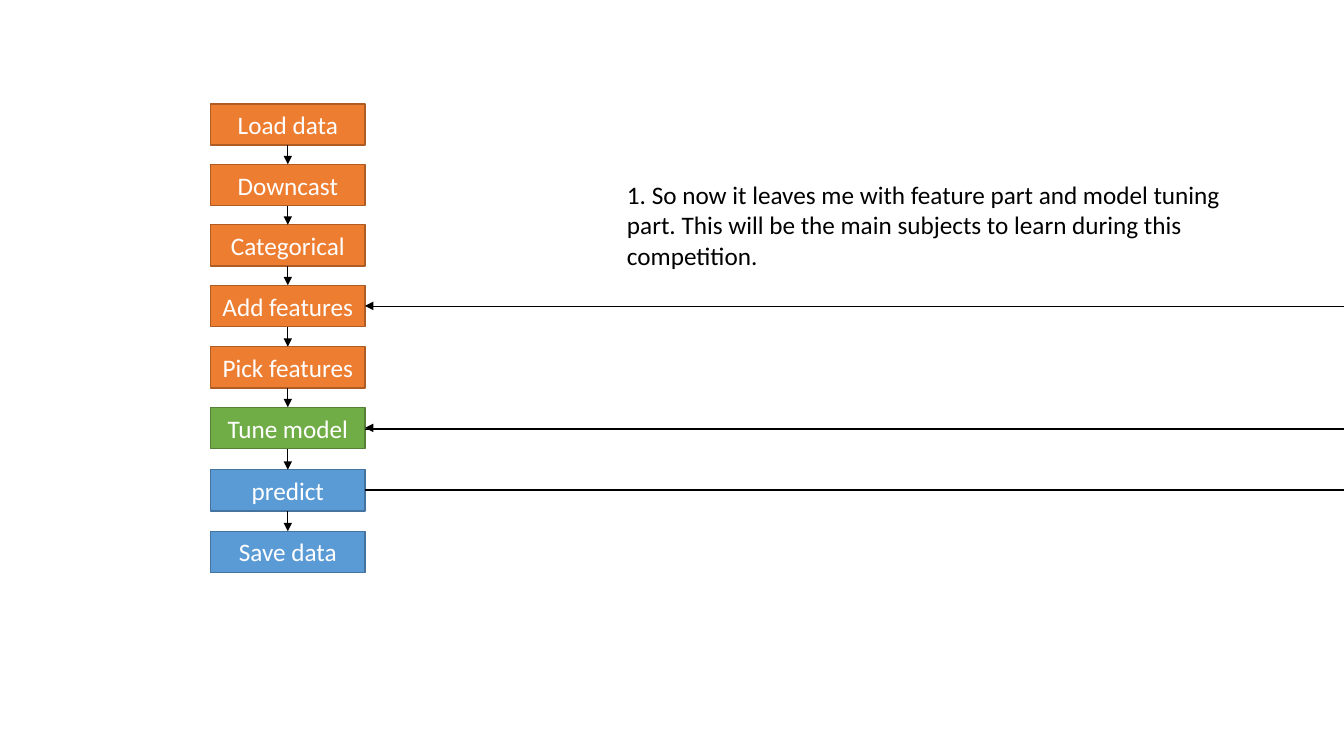
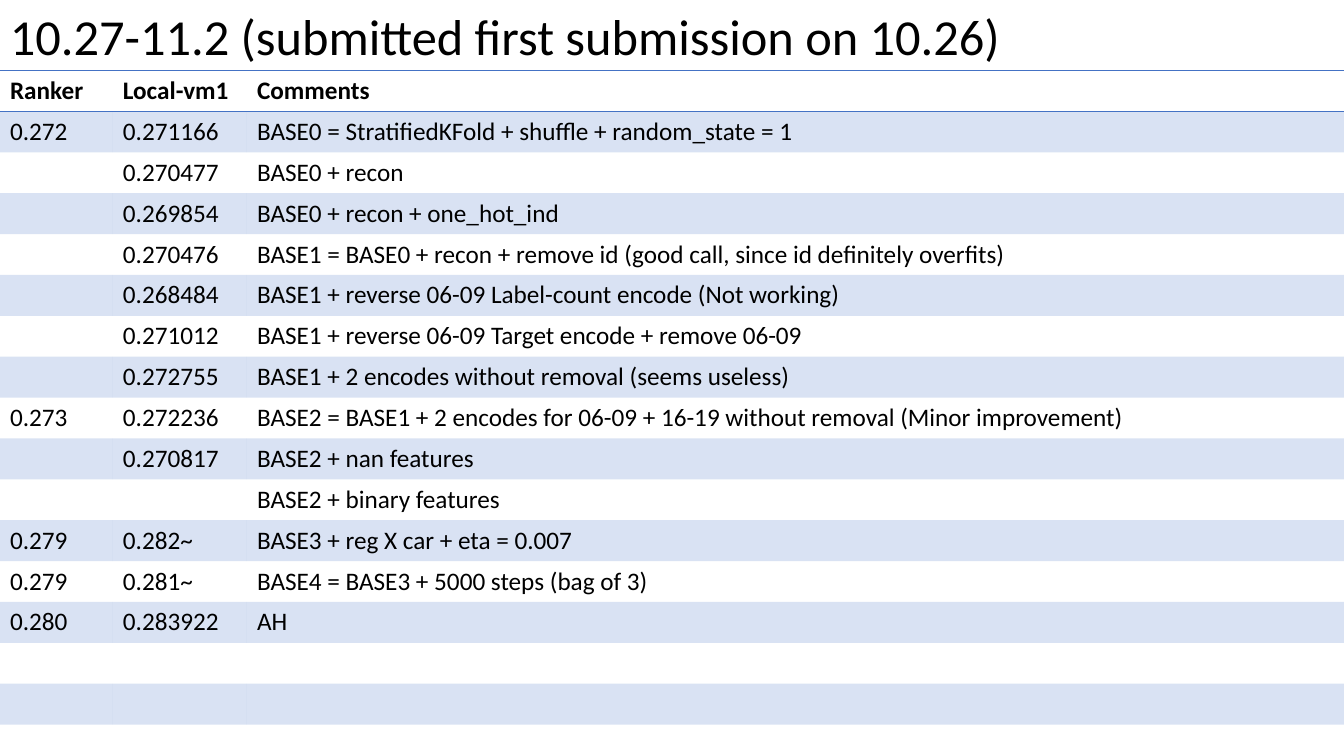
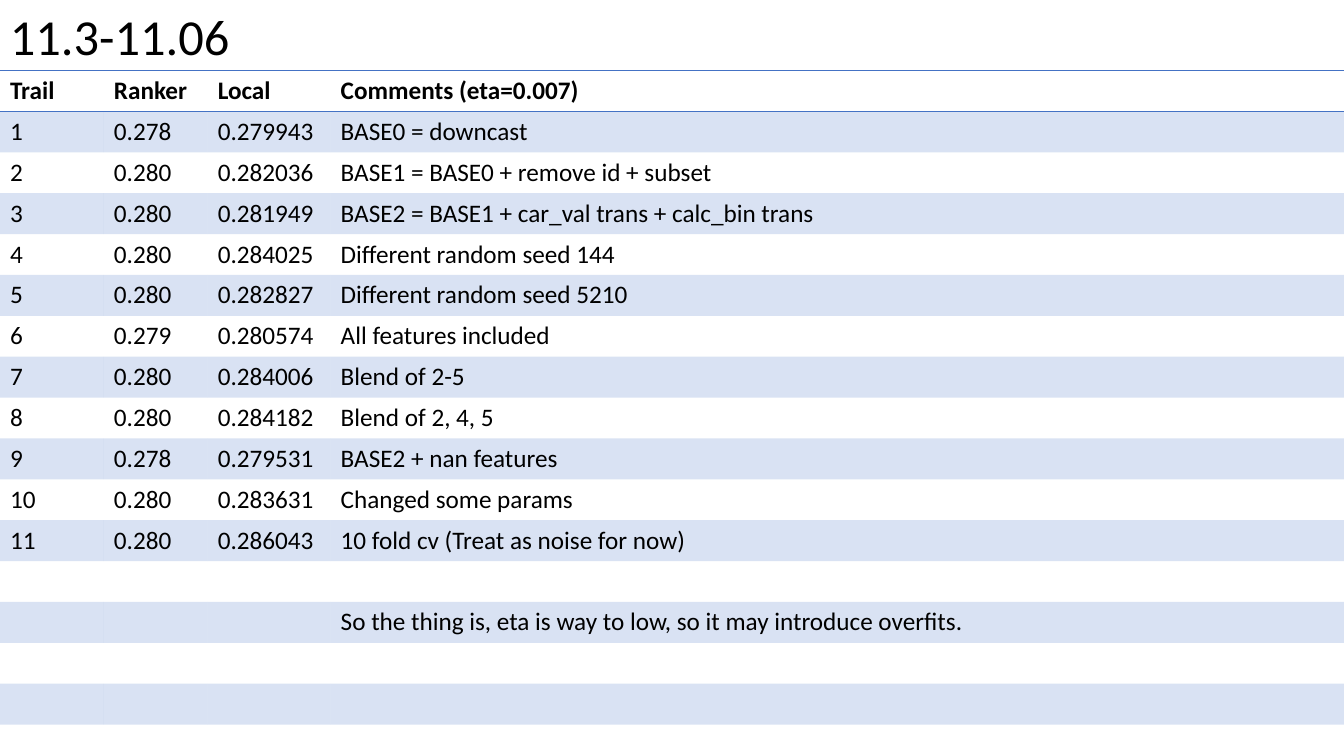
from itertools import pairwise

from lxml.etree import SubElement
from pptx import Presentation
from pptx.dml.color import RGBColor
from pptx.enum.shapes import MSO_CONNECTOR, MSO_SHAPE
from pptx.enum.text import MSO_ANCHOR, PP_ALIGN
from pptx.oxml.ns import qn
from pptx.util import Inches, Pt

WIDE, HIGH = 13.33, 7.5
FONT = "Calibri"
BLACK, WHITE, BLUE = "000000", "FFFFFF", "4472C4"
PREP = ("ED7D31", "AF5C24")
TUNE = ("70AD47", "538035")
DONE = ("5B9BD5", "43739E")
PLAIN = "{2D5ABB26-0587-4C30-8999-92F81FD0307C}"
TOP, BOTTOM, RIGHT = 0, 2, 3

STEPS = [
    ("Load data", 1.03, PREP),
    ("Downcast", 1.63, PREP),
    ("Categorical", 2.23, PREP),
    ("Add features", 2.83, PREP),
    ("Pick features", 3.44, PREP),
    ("Tune model", 4.04, TUNE),
    ("predict", 4.66, DONE),
    ("Save data", 5.27, DONE),
]
NOTE = (
    "1. So now it leaves me with feature part and model tuning part. "
    "This will be the main subjects to learn during this competition."
)
FIRST = [
    ("Ranker", "Local-vm1", "Comments"),
    ("0.272", "0.271166", "BASE0 = StratifiedKFold + shuffle + random_state = 1"),
    ("", "0.270477", "BASE0 + recon"),
    ("", "0.269854", "BASE0 + recon + one_hot_ind"),
    ("", "0.270476", "BASE1 = BASE0 + recon + remove id (good call, since id definitely overfits)"),
    ("", "0.268484", "BASE1 + reverse 06-09 Label-count encode (Not working)"),
    ("", "0.271012", "BASE1 + reverse 06-09 Target encode + remove 06-09"),
    ("", "0.272755", "BASE1 + 2 encodes without removal (seems useless)"),
    ("0.273", "0.272236", "BASE2 = BASE1 + 2 encodes for 06-09 + 16-19 without removal (Minor improvement)"),
    ("", "0.270817", "BASE2 + nan features"),
    ("", "", "BASE2 + binary features"),
    ("0.279", "0.282~", "BASE3 + reg X car + eta = 0.007"),
    ("0.279", "0.281~", "BASE4 = BASE3 + 5000 steps (bag of 3)"),
    ("0.280", "0.283922", "AH"),
]
NEXT = [
    ("Trail", "Ranker", "Local", "Comments (eta=0.007)"),
    ("1", "0.278", "0.279943", "BASE0 = downcast"),
    ("2", "0.280", "0.282036", "BASE1 = BASE0 + remove id + subset"),
    ("3", "0.280", "0.281949", "BASE2 = BASE1 + car_val trans + calc_bin trans"),
    ("4", "0.280", "0.284025", "Different random seed 144"),
    ("5", "0.280", "0.282827", "Different random seed 5210"),
    ("6", "0.279", "0.280574", "All features included"),
    ("7", "0.280", "0.284006", "Blend of 2-5"),
    ("8", "0.280", "0.284182", "Blend of 2, 4, 5"),
    ("9", "0.278", "0.279531", "BASE2 + nan features"),
    ("10", "0.280", "0.283631", "Changed some params"),
    ("11", "0.280", "0.286043", "10 fold cv (Treat as noise for now)"),
    (),
    ("", "", "", "So the thing is, eta is way to low, so it may introduce overfits."),
]
ROWS = 17


def paint(part, tone):
    """Give a fill or line a solid colour."""
    part.solid()
    part.fore_color.rgb = RGBColor.from_string(tone)


def write(frame, text, size=18, tone=BLACK, bold=False):
    """Add one run to the first paragraph and return the paragraph."""
    para = frame.paragraphs[0]
    run = para.add_run()
    run.text = text
    run.font.name = FONT
    run.font.size = Pt(size)
    run.font.bold = bold
    paint(run.font.fill, tone)
    return para


def label(slide, text, left, top, width, height, size=18):
    """Add a wrapped text box."""
    area = slide.shapes.add_textbox(*map(Inches, (left, top, width, height)))
    area.text_frame.word_wrap = True
    write(area.text_frame, text, size)


def box(slide, text, top, tones):
    """Add one step of the flow."""
    shape = slide.shapes.add_shape(
        MSO_SHAPE.RECTANGLE, *map(Inches, (2.09, top, 1.53, 0.41)))
    shape.shadow.inherit = False
    paint(shape.fill, tones[0])
    paint(shape.line.fill, tones[1])
    shape.line.width = Pt(1)
    frame = shape.text_frame
    frame.word_wrap = True
    frame.vertical_anchor = MSO_ANCHOR.MIDDLE
    write(frame, text, tone=WHITE).alignment = PP_ALIGN.CENTER
    return shape


def wire(slide, start, end, head=True):
    """Draw a thin straight line between two points in inches."""
    line = slide.shapes.add_connector(
        MSO_CONNECTOR.STRAIGHT, *map(Inches, start + end))
    paint(line.line.fill, BLACK)
    line.line.width = Pt(0.5)
    if head:
        SubElement(line.line._get_or_add_ln(), qn("a:tailEnd"), type="triangle")
    SubElement(line._element.spPr, qn("a:effectLst"))
    return line


def edge(cell, side):
    """Rule one side of a cell in blue."""
    line = SubElement(cell._tc.get_or_add_tcPr(), qn("a:" + side), w=str(Pt(1)))
    SubElement(SubElement(line, qn("a:solidFill")), qn("a:srgbClr"), val=BLUE)


def shade(cell):
    """Fill a cell with pale blue."""
    paint(cell.fill, BLUE)
    tone = cell._tc.tcPr.find(qn("a:solidFill")).find(qn("a:srgbClr"))
    SubElement(tone, qn("a:alpha"), val="20000")


def grid(slide, data, widths):
    """Add a banded table of scores."""
    table = slide.shapes.add_table(
        ROWS, len(widths), *map(Inches, (0, 0.7, WIDE, 6.8))).table
    table._tbl.tblPr.find(qn("a:tableStyleId")).text = PLAIN
    for col, width in zip(table.columns, widths):
        col.width = Inches(width)
    for row in range(ROWS):
        table.rows[row].height = Inches(0.4)
        sides = {0: ("lnT", "lnB"), ROWS - 1: ("lnB",)}.get(row, ())
        for col in range(len(widths)):
            cell = table.cell(row, col)
            for side in sides:
                edge(cell, side)
            if row % 2:
                shade(cell)
            else:
                cell.fill.background()
            if row < len(data) and data[row] and data[row][col]:
                write(cell.text_frame, data[row][col], bold=row == 0)


def flow(slide):
    """Draw the steps, the arrows and the lines to the right edge."""
    steps = {text: box(slide, text, top, tones) for text, top, tones in STEPS}
    for upper, lower in pairwise(steps.values()):
        line = wire(slide, (2.85, 1), (2.85, 2))
        line.begin_connect(upper, BOTTOM)
        line.end_connect(lower, TOP)
    for name, head in (("Add features", True), ("Tune model", True), ("predict", False)):
        line = wire(slide, (WIDE, 3), (3.62, 3), head)
        line.end_connect(steps[name], RIGHT)
        line.begin_y = line.end_y
    for level in (4.26, 4.85):
        wire(slide, (WIDE, level), (3.62, level), False)
    label(slide, NOTE, 6.12, 1.73, 6.39, 1.01)


def main():
    """Build the deck."""
    deck = Presentation()
    deck.slide_width, deck.slide_height = Inches(WIDE), Inches(HIGH)
    blank = deck.slide_layouts[6]
    flow(deck.slides.add_slide(blank))
    for title, data, widths in (
        ("10.27-11.2 (submitted first submission on 10.26)", FIRST, (1.12, 1.33, 10.88)),
        ("11.3-11.06", NEXT, (1.03, 1.03, 1.22, 10.05)),
    ):
        slide = deck.slides.add_slide(blank)
        grid(slide, data, widths)
        label(slide, title, 0, 0, WIDE, 0.71, 36)
    deck.save("out.pptx")


if __name__ == "__main__":
    main()
